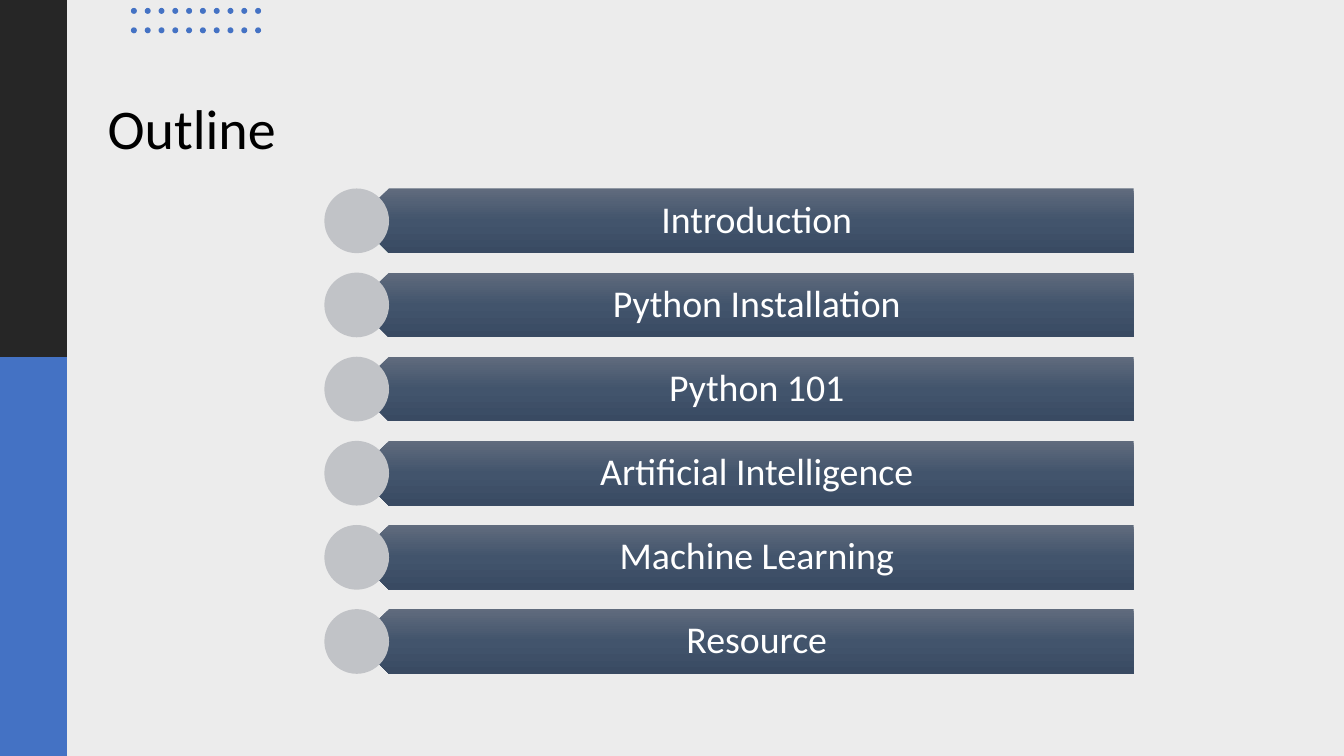
from copy import deepcopy
from pptx import Presentation
from pptx import util as u
from pptx.dml.color import RGBColor
from pptx.enum import shapes, text
from pptx.oxml.ns import qn

# Content
TITLE = "Outline"
TOPICS = ["Introduction", "Python Installation", "Python 101",
          "Artificial Intelligence", "Machine Learning", "Resource"]
FONT = "Calibri"
BLUE, DARK, GREY, PAPER = "4472C4", "262626", "C1C3C7", "ECECEC"
SHADES = [(0, "606B7D"), (0.5, "42546C"), (1, "394A62")]

# Layout in centimetres
WIDTH, HEIGHT = 33.87, 19.05
SIDE, SPLIT = 1.69, 9
DOT, DOT_X, DOT_Y, DOT_COLS, DOT_ROWS = 0.15, 3.3, 0.2, 10, 2
DOT_DX, DOT_DY = 3.13 / (DOT_COLS - 1), 0.49
BAR_X, BAR_Y, BAR_W, BAR_H, BAR_DY = 8.99, 4.75, 19.58, 1.63, 2.12
PADS = (0.71, 0.28, 0.53, 0.28)

KIND = shapes.MSO_SHAPE


def paint(color, tone):
    color.rgb = RGBColor.from_string(tone)


def draw(host, kind, x, y, w, h, tone=None):
    item = host.shapes.add_shape(kind, u.Cm(x), u.Cm(y), u.Cm(w), u.Cm(h))
    item.shadow.inherit = False
    item.line.fill.background()
    if tone:
        item.fill.solid()
        paint(item.fill.fore_color, tone)
    return item


def shade(item):
    item.fill.gradient()
    item.fill.gradient_angle = 270
    stops = item._element.spPr.find(".//" + qn("a:gsLst"))
    stops.insert(1, deepcopy(stops[0]))
    for stop, (spot, tone) in zip(item.fill.gradient_stops, SHADES):
        stop.position = spot
        paint(stop.color, tone)


def write(item, words, size, tone, align, anchor):
    frame = item.text_frame
    frame.text = words
    frame.word_wrap = True
    frame.auto_size = text.MSO_AUTO_SIZE.NONE
    frame.vertical_anchor = anchor
    para = frame.paragraphs[0]
    para.alignment = align
    para.line_spacing = 0.9
    font = para.runs[0].font
    font.name, font.size = FONT, u.Pt(size)
    paint(font.color, tone)
    return frame


def main():
    deck = Presentation()
    deck.slide_width, deck.slide_height = u.Cm(WIDTH), u.Cm(HEIGHT)
    slide = deck.slides.add_slide(deck.slide_layouts[5])
    back = slide.background.fill
    back.solid()
    paint(back.fore_color, PAPER)

    # Title
    title = slide.shapes.title
    title.left, title.top = u.Cm(2.46), u.Cm(1.4)
    title.width, title.height = u.Cm(29.44), u.Cm(2.79)
    write(title, TITLE, 40, "000000", text.PP_ALIGN.LEFT,
          text.MSO_ANCHOR.BOTTOM)

    # Side band
    draw(slide, KIND.RECTANGLE, 0, 0, SIDE, SPLIT, DARK)
    draw(slide, KIND.RECTANGLE, 0, SPLIT, SIDE, HEIGHT - SPLIT, BLUE)

    # Dot grid
    dots = slide.shapes.add_group_shape()
    for col in range(DOT_COLS):
        for row in range(DOT_ROWS):
            draw(dots, KIND.OVAL, DOT_X + col * DOT_DX, DOT_Y + row * DOT_DY,
                 DOT, DOT, BLUE)

    # Topic bars, pointing left at their discs
    for row, topic in enumerate(TOPICS):
        y = BAR_Y + row * BAR_DY
        bar = draw(slide, KIND.PENTAGON, BAR_X, y, BAR_W, BAR_H)
        bar._element.spPr.find(qn("a:xfrm")).set("flipH", "1")
        shade(bar)
        frame = write(bar, topic, 27, "FFFFFF", text.PP_ALIGN.CENTER,
                      text.MSO_ANCHOR.MIDDLE)
        (frame.margin_left, frame.margin_top, frame.margin_right,
         frame.margin_bottom) = map(u.Cm, PADS)
        draw(slide, KIND.OVAL, BAR_X - BAR_H / 2, y, BAR_H, BAR_H, GREY)

    deck.save("out.pptx")


if __name__ == "__main__":
    main()
